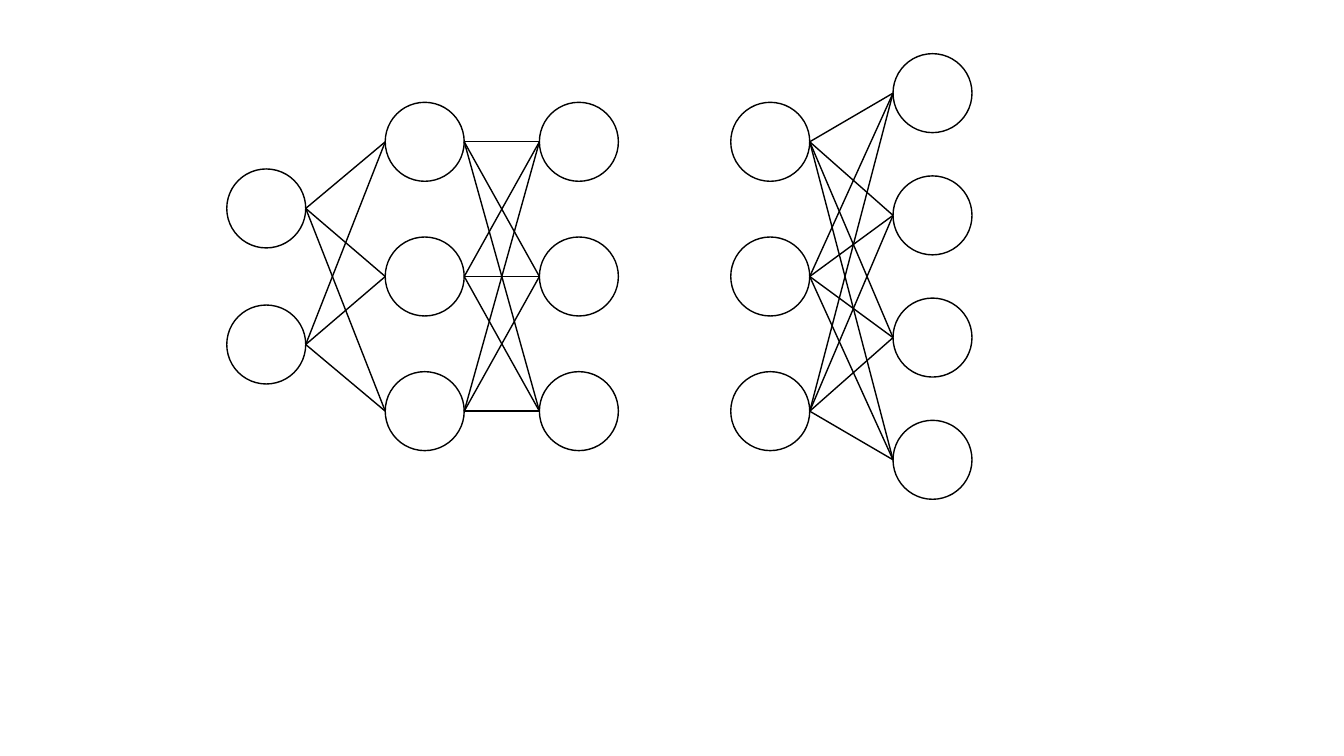
import pptx
import pptx.dml.color
import pptx.enum.shapes
import pptx.oxml.xmlchemy
import pptx.util
from lxml import etree

Pt = pptx.util.Pt

NEURON_SIZE = 56.4
INK = "000000"
# Each layer: left offset in the network, number of neurons, vertical pitch
LAYERS = [(0, 2, 97.2), (113.2, 3, 96.2), (223.3, 3, 96.2),
          (360, 3, 96.2), (475.9, 4, 87.3)]
# Pairs of layers that are fully connected
LINKED_LAYERS = [(0, 1), (1, 2), (3, 4)]


def color(hex_value):
    return pptx.dml.color.RGBColor.from_string(hex_value)


def draw_layer(slide, left, middle, count, pitch):
    """Stack the neurons evenly about the middle height."""
    layer = slide.shapes.add_group_shape()
    neurons = []
    for row in range(count):
        center = middle + (row - (count - 1) / 2) * pitch
        neuron = layer.shapes.add_shape(
            pptx.enum.shapes.MSO_SHAPE.OVAL, Pt(left),
            Pt(center - NEURON_SIZE / 2), Pt(NEURON_SIZE), Pt(NEURON_SIZE))
        neuron.shadow.inherit = False
        neuron.fill.background()
        neuron.line.color.rgb = color(INK)
        neuron.line.width = Pt(1)
        neurons.append(neuron)
    return neurons


def draw_link(slide, source, target):
    """Run a line from a neuron's right side to another's left side."""
    link = slide.shapes.add_connector(
        pptx.enum.shapes.MSO_CONNECTOR.STRAIGHT,
        source.left + source.width, source.top + source.height // 2,
        target.left, target.top + target.height // 2)
    link.line.color.rgb = color(INK)
    link.line.width = Pt(1)
    etree.SubElement(link._element.spPr, pptx.oxml.ns.qn("a:effectLst"))


def draw_network(slide, left, top, height):
    layers = [draw_layer(slide, left + offset, top + height / 2, count, pitch)
              for offset, count, pitch in LAYERS]
    for first, second in LINKED_LAYERS:
        for source in layers[first]:
            for target in layers[second]:
                draw_link(slide, source, target)


def main():
    deck = pptx.Presentation()
    deck.slide_width, deck.slide_height = Pt(960), Pt(540)
    slide = deck.slides.add_slide(deck.slide_layouts[6])
    draw_network(slide, left=162, top=38, height=319)
    deck.save("out.pptx")


if __name__ == "__main__":
    main()
